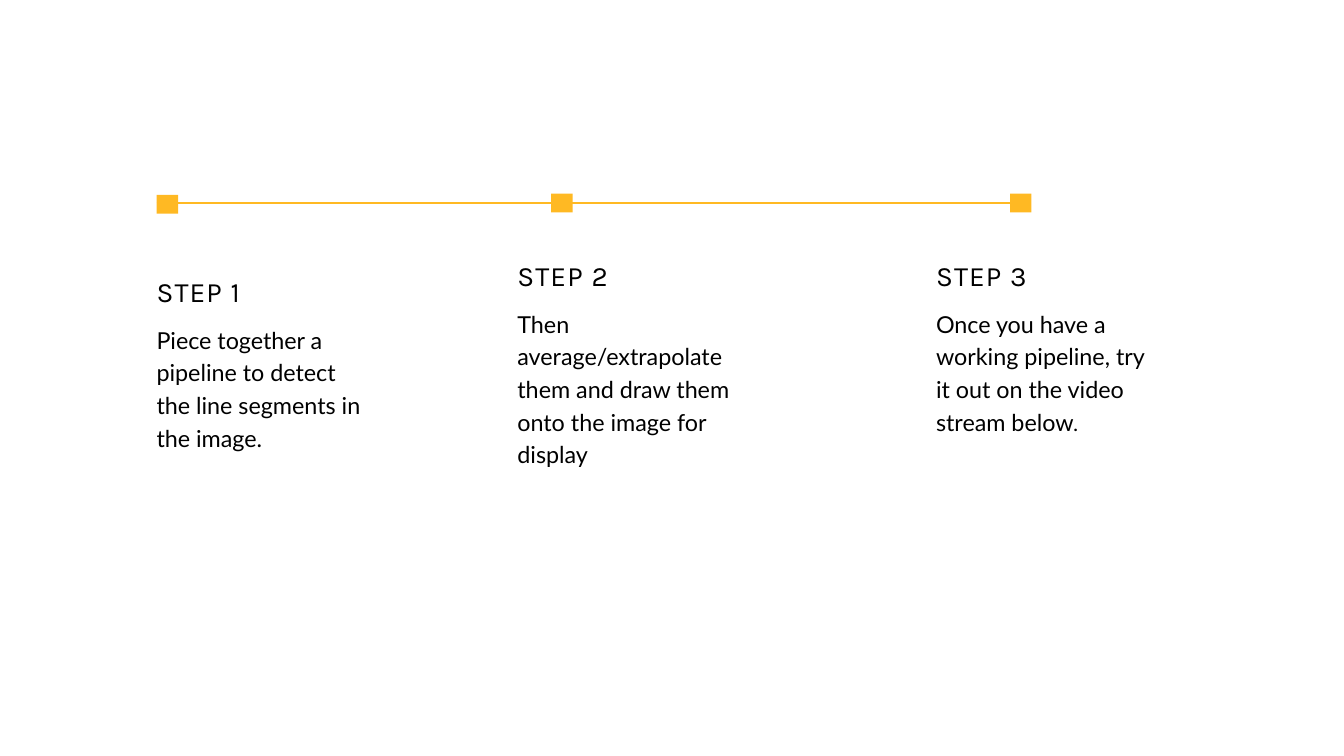
from pptx import Presentation
from pptx.dml.color import RGBColor
from pptx.enum.shapes import MSO_CONNECTOR, MSO_SHAPE
from pptx.oxml.ns import qn
from pptx.util import Inches, Pt
from lxml import etree

LINE = MSO_CONNECTOR.STRAIGHT
RECT = MSO_SHAPE.RECTANGLE
COLORS = {"text": "000000", "accent": "FFB923"}

# Text left and top, marker left and top, body height, wording
STEPS = [
    (2.33, 4.04, 2.33, 2.9, 1.89,
     ["Piece together a pipeline to detect the line segments in the image."]),
    (7.7, 3.8, 8.2, 2.88, 2.37,
     ["Then average/extrapolate them and draw them onto the image for display"]),
    (13.93, 3.8, 15.03, 2.88, 1.89,
     ["Once you have a working pipeline, try it out on the video stream below", "."]),
]


def color(name):
    return RGBColor.from_string(COLORS[name])


def add_text(group, left, top, height, parts, fonts, size, pitch):
    box = group.shapes.add_textbox(Inches(left), Inches(top), Inches(3.2), Inches(height))
    frame = box.text_frame
    frame.word_wrap = True
    frame.margin_left = frame.margin_right = frame.margin_top = frame.margin_bottom = 0
    para = frame.paragraphs[0]
    para.line_spacing = Pt(pitch)
    for part, font in zip(parts, fonts):
        run = para.add_run()
        run.text = part
        run.font.name = font
        run.font.size = Pt(size)
        run.font.color.rgb = color("text")
    return para


deck = Presentation()
deck.slide_width = Inches(20)
deck.slide_height = Inches(11.25)
slide = deck.slides.add_slide(deck.slide_layouts[6])

# Step texts: heading above body, grouped
for num, (left, top, _, _, height, parts) in enumerate(STEPS, 1):
    group = slide.shapes.add_group_shape()
    add_text(group, left, top + 0.74, height, parts, ["Lato", "Karla"], 25, 35)
    head = add_text(group, left, top, 0.52, [f"STEP {num}"], ["Karla"], 30, 39)
    head.runs[0].font._element.set("spc", "120")

# Timeline
line = slide.shapes.add_connector(LINE, Inches(2.33), Inches(3.02), Inches(15.19), Inches(3.02))
line.line.color.rgb = color("accent")
line.line.width = Pt(1.5)
etree.SubElement(line._element.spPr, qn("a:effectLst"))

# Markers
for _, _, left, top, _, _ in STEPS:
    mark = slide.shapes.add_shape(RECT, Inches(left), Inches(top), Inches(0.32), Inches(0.28))
    mark.shadow.inherit = False
    mark.fill.solid()
    mark.fill.fore_color.rgb = color("accent")
    mark.line.fill.background()

deck.save("out.pptx")
